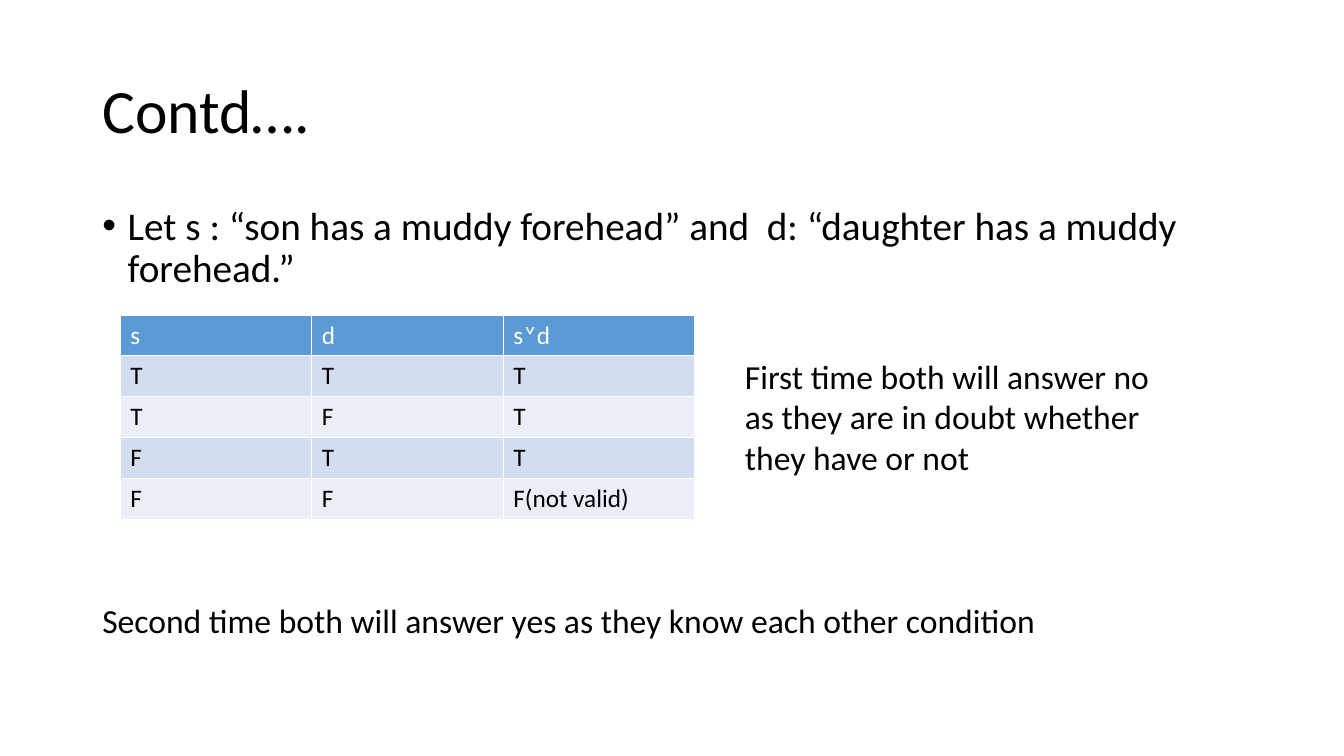
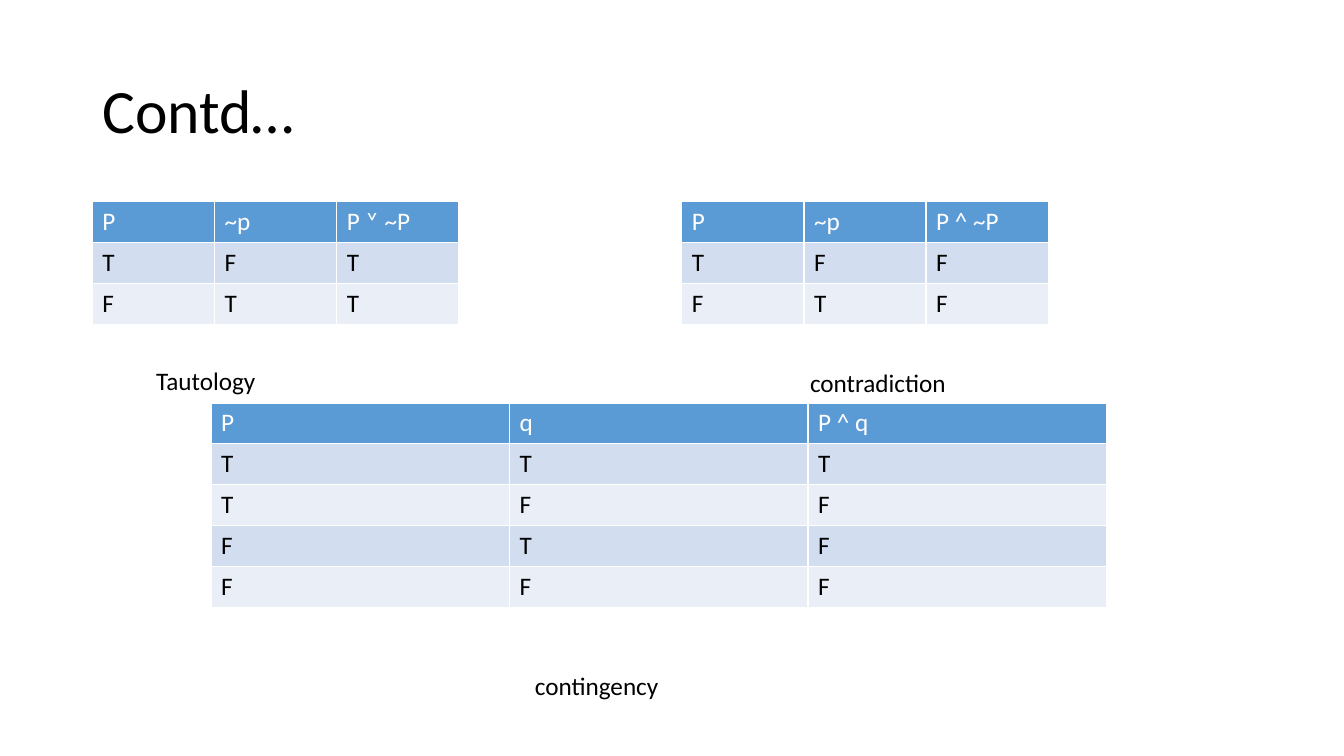
"""Build two slides of truth tables with notes and captions."""
from dataclasses import dataclass

from pptx import Presentation
from pptx.dml.color import RGBColor
from pptx.enum.text import MSO_ANCHOR, PP_ALIGN
from pptx.util import Pt


@dataclass(frozen=True)
class Theme:
    font: str = "Calibri"
    ink: str = "000000"
    head_ink: str = "FFFFFF"
    head_fill: str = "5B9BD5"
    bands: tuple = ("D2DEEF", "EAEFF7")
    title: int = 44
    body: int = 28
    note: int = 24
    small: int = 18
    row: float = 29.2
    hang: float = 18


THEME = Theme()
SLIDE_SIZE = (960, 540)
TITLE_BOX = (66, 28.75, 828, 104.4)
BODY_BOX = (66, 143.75, 828, 363.6)
LAYOUT_WITH_BODY, LAYOUT_TITLE_ONLY = 1, 5

SLIDES = [
    {
        "title": "Contd….",
        "body": "Let s : “son has a muddy forehead” and  d: “daughter has a muddy forehead.”",
        "tables": [
            ((86, 225, 410.4), ["s d s˅d", "T T T", "T F T", "F T T", "F F F(not valid)"], " "),
        ],
        "notes": [
            ((525, 250.6, 312, 94.5), THEME.note,
             "First time both will answer no as they are in doubt whether they have or not"),
            ((66, 425, 687, 36.4), THEME.note,
             "Second time both will answer yes as they know each other condition"),
        ],
    },
    {
        "title": "Contd…",
        "body": None,
        "tables": [
            ((66, 144, 261.8), ["P|~p|P ˅ ~P", "T|F|T", "F|T|T"], "|"),
            ((487, 144, 261.8), ["P|~p|P ^ ~P", "T|F|F", "F|T|F"], "|"),
            ((150.8, 287.8, 639.6), ["P|q|P ^ q", "T|T|T", "T|F|F", "F|T|F", "F|F|F"], "|"),
        ],
        "notes": [
            ((104.4, 257.6, 92, 29), THEME.small, "Tautology"),
            ((571.5, 258.8, 123, 29), THEME.small, "contradiction"),
            ((375, 475.2, 140, 29), THEME.small, "contingency"),
        ],
    },
]


def rgb(code):
    return RGBColor.from_string(code)


def place(sp, box):
    sp.left, sp.top, sp.width, sp.height = map(Pt, box)


def write(tf, text, size, color=THEME.ink):
    tf.text = text
    p = tf.paragraphs[0]
    p.alignment = PP_ALIGN.LEFT
    f = p.runs[0].font
    f.name, f.size, f.bold = THEME.font, Pt(size), False
    f.color.rgb = rgb(color)
    return p


def add_title(s, text):
    sp = s.shapes.title
    place(sp, TITLE_BOX)
    sp.text_frame.vertical_anchor = MSO_ANCHOR.MIDDLE
    write(sp.text_frame, text, THEME.title).line_spacing = 0.9


def add_body(s, text):
    sp = s.placeholders[1]
    place(sp, BODY_BOX)
    p = write(sp.text_frame, text, THEME.body)
    p.line_spacing, p.space_before = 0.9, Pt(10)
    pPr = p._p.get_or_add_pPr()
    pPr.set("marL", str(Pt(THEME.hang)))
    pPr.set("indent", str(-Pt(THEME.hang)))


def add_truth_table(s, spot, lines, sep):
    left, top, width = spot
    rows = [line.split(sep, 2) for line in lines]
    cols = len(rows[0])
    frame = s.shapes.add_table(len(rows), cols, Pt(left), Pt(top),
                               Pt(width), Pt(THEME.row * len(rows)))
    table = frame.table
    for col in table.columns:
        col.width = Pt(width / cols)
    for i, row in enumerate(rows):
        table.rows[i].height = Pt(THEME.row)
        fill = THEME.bands[(i - 1) % 2] if i else THEME.head_fill
        ink = THEME.ink if i else THEME.head_ink
        for j, text in enumerate(row):
            cell = table.cell(i, j)
            cell.fill.solid()
            cell.fill.fore_color.rgb = rgb(fill)
            write(cell.text_frame, text, THEME.small, ink)


def add_note(s, box, size, text):
    sp = s.shapes.add_textbox(*map(Pt, box))
    sp.text_frame.word_wrap = True
    write(sp.text_frame, text, size)


def main():
    prs = Presentation()
    prs.slide_width, prs.slide_height = map(Pt, SLIDE_SIZE)
    for content in SLIDES:
        layout = LAYOUT_WITH_BODY if content["body"] else LAYOUT_TITLE_ONLY
        s = prs.slides.add_slide(prs.slide_layouts[layout])
        add_title(s, content["title"])
        if content["body"]:
            add_body(s, content["body"])
        for table in content["tables"]:
            add_truth_table(s, *table)
        for note in content["notes"]:
            add_note(s, *note)
    prs.save("out.pptx")


if __name__ == "__main__":
    main()
